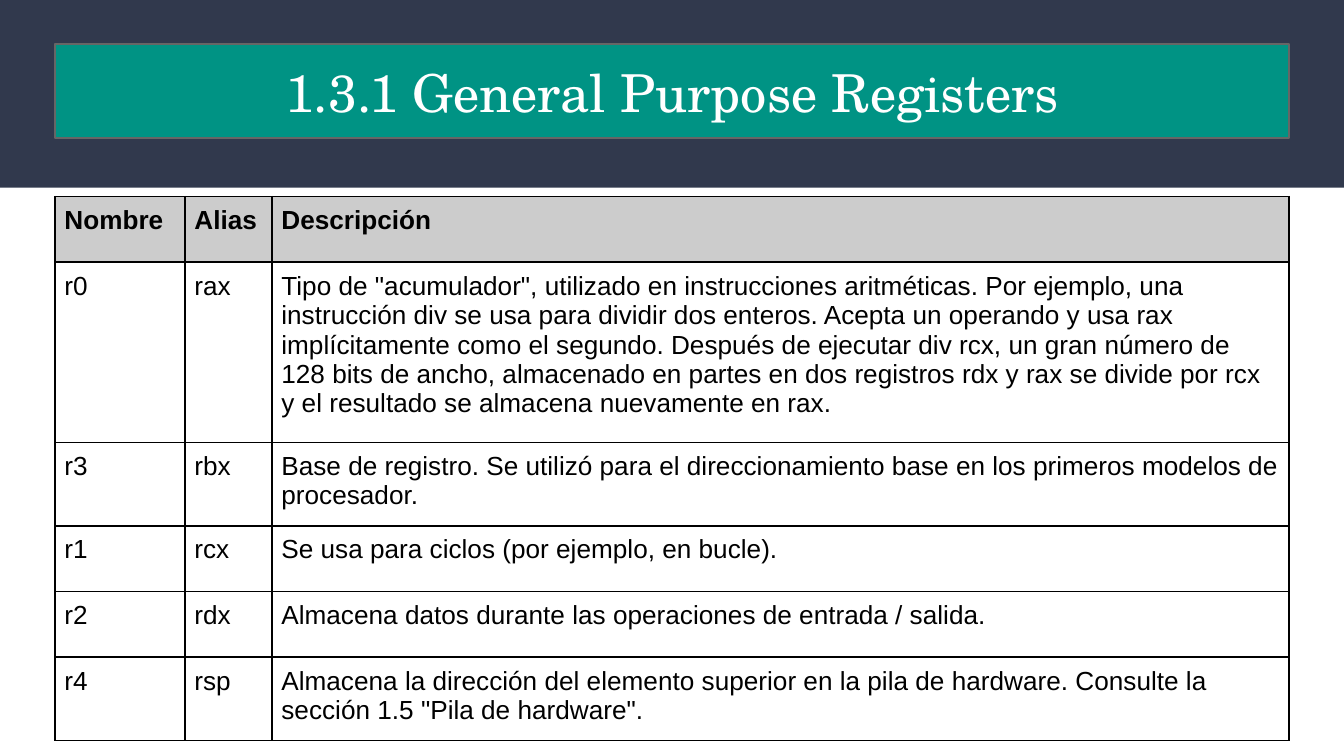
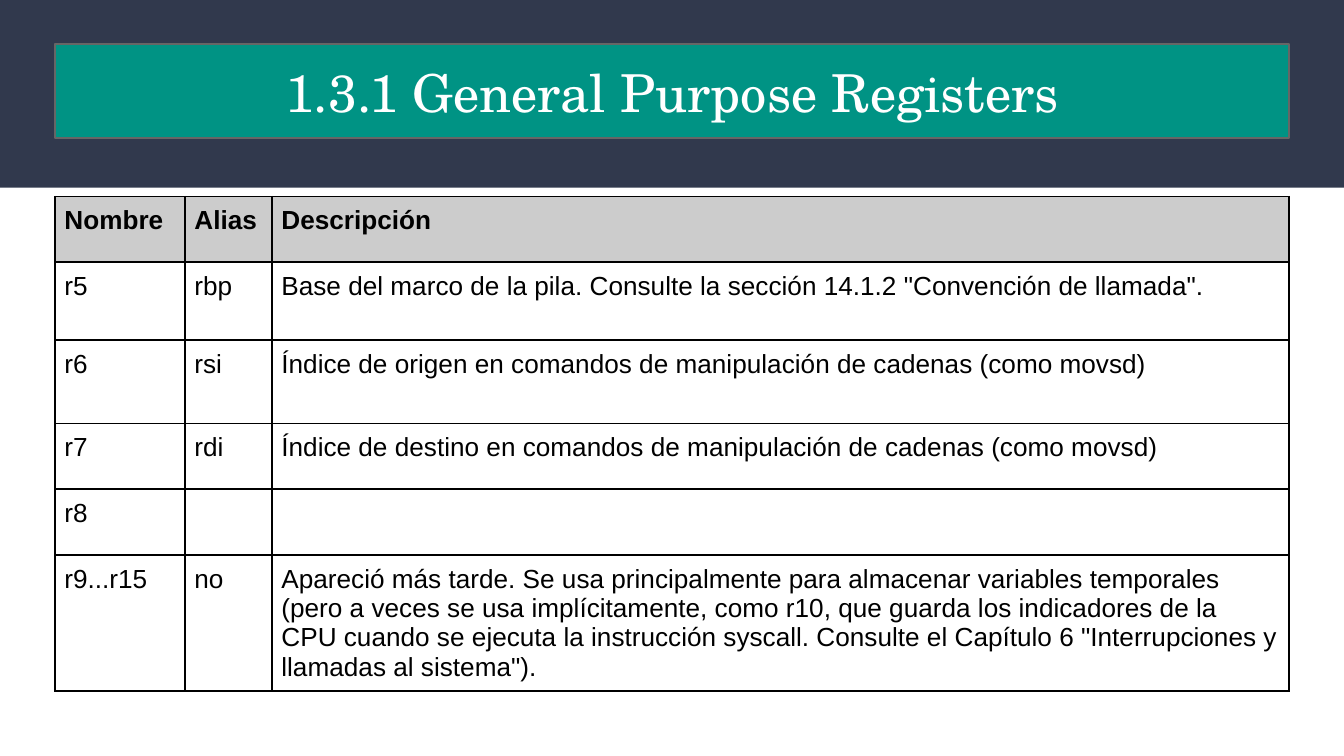
from lxml import etree
from pptx import Presentation
from pptx.dml.color import RGBColor
from pptx.enum.shapes import MSO_SHAPE
from pptx.enum.text import MSO_ANCHOR, MSO_AUTO_SIZE, PP_ALIGN
from pptx.oxml.ns import qn
from pptx.util import Pt

RECTANGLE = MSO_SHAPE.RECTANGLE
MIDDLE, TOP = MSO_ANCHOR.MIDDLE, MSO_ANCHOR.TOP
CENTER, LEFT = PP_ALIGN.CENTER, PP_ALIGN.LEFT
NO_AUTOFIT = MSO_AUTO_SIZE.NONE
TITLE_ONLY = 5

COLORS = {
    "band": "31394D",
    "pill": "009384",
    "pill_line": "666666",
    "title": "FFFFFF",
    "header": "CCCCCC",
    "text": "000000",
    "border": "000000",
}
TITLE_FONT, TABLE_FONT = "TeX Gyre Schola", "Arial"
PAGE_WIDTH, PAGE_HEIGHT = 720, 405
MARGIN = 29.5
COLUMN_WIDTHS = (69.7, 46.6, 544.7)
CONTENT_WIDTH = sum(COLUMN_WIDTHS)

TITLE = "1.3.1 General Purpose Registers"
HEADER = ("Nombre", "Alias", "Descripción")

# Each register table: row heights (header first), then its rows
REGISTER_TABLES = [
    ((35.2, 96.5, 44.7, 35.2, 35.2, 44.7), [
        ("r0", "rax",
         'Tipo de "acumulador", utilizado en instrucciones aritméticas. Por ejemplo, una '
         "instrucción div se usa para dividir dos enteros. Acepta un operando y usa rax "
         "implícitamente como el segundo. Después de ejecutar div rcx, un gran número de "
         "128 bits de ancho, almacenado en partes en dos registros rdx y rax se divide por "
         "rcx y el resultado se almacena nuevamente en rax."),
        ("r3", "rbx",
         "Base de registro. Se utilizó para el direccionamiento base en los primeros "
         "modelos de procesador."),
        ("r1", "rcx", "Se usa para ciclos (por ejemplo, en bucle)."),
        ("r2", "rdx", "Almacena datos durante las operaciones de entrada / salida."),
        ("r4", "rsp",
         "Almacena la dirección del elemento superior en la pila de hardware. Consulte la "
         'sección 1.5 "Pila de hardware".'),
    ]),
    ((35.2, 41.8, 44.7, 35.2, 35.2, 72.8), [
        ("r5", "rbp",
         'Base del marco de la pila. Consulte la sección 14.1.2 "Convención de llamada".'),
        ("r6", "rsi", "Índice de origen en comandos de manipulación de cadenas (como movsd)"),
        ("r7", "rdi", "Índice de destino en comandos de manipulación de cadenas (como movsd)"),
        ("r8", "", ""),
        ("r9...r15", "no",
         "Apareció más tarde. Se usa principalmente para almacenar variables temporales "
         "(pero a veces se usa implícitamente, como r10, que guarda los indicadores de la "
         "CPU cuando se ejecuta la instrucción syscall. Consulte el Capítulo 6 "
         '"Interrupciones y llamadas al sistema").'),
    ]),
]


def color(name):
    return RGBColor.from_string(COLORS[name])


class Deck:
    """Holds the presentation, its style and the current page."""

    def __init__(self):
        self.deck = Presentation()
        self.deck.slide_width = Pt(PAGE_WIDTH)
        self.deck.slide_height = Pt(PAGE_HEIGHT)
        self.page = None

    def add_page(self, title):
        self.page = self.deck.slides.add_slide(self.deck.slide_layouts[TITLE_ONLY])
        self.band()
        self.title(title)

    def band(self):
        band = self.page.shapes.add_shape(RECTANGLE, 0, 0, Pt(PAGE_WIDTH), Pt(100.6))
        band.shadow.inherit = False
        band.fill.solid()
        band.fill.fore_color.rgb = color("band")
        band.line.fill.background()
        # Send the band behind the title
        self.page.shapes._spTree.insert(2, band._element)

    def title(self, text):
        pill = self.page.shapes.title
        pill.left, pill.top = Pt(MARGIN), Pt(23.6)
        pill.width, pill.height = Pt(CONTENT_WIDTH), Pt(50.4)
        etree.SubElement(pill._element.spPr, qn("a:prstGeom"), prst="flowChartTerminator")
        pill.fill.solid()
        pill.fill.fore_color.rgb = color("pill")
        pill.line.color.rgb = color("pill_line")
        pill.line.width = Pt(0.75)
        frame = pill.text_frame
        frame.word_wrap = True
        frame.auto_size = NO_AUTOFIT
        frame.vertical_anchor = MIDDLE
        frame.margin_left = frame.margin_right = Pt(7.2)
        frame.margin_top = frame.margin_bottom = Pt(7.2)
        frame.text = text
        self.format(frame.paragraphs[0], TITLE_FONT, 28, "title", CENTER)

    def table(self, top, heights, rows):
        table = self.page.shapes.add_table(
            len(rows), len(COLUMN_WIDTHS), Pt(MARGIN), Pt(top),
            Pt(CONTENT_WIDTH), Pt(sum(heights))).table
        table.horz_banding = False
        for column, width in zip(table.columns, COLUMN_WIDTHS):
            column.width = Pt(width)
        for row, height in zip(table.rows, heights):
            row.height = Pt(height)
        for r, texts in enumerate(rows):
            for c, text in enumerate(texts):
                self.cell(table.cell(r, c), text, is_header=r == 0)

    def cell(self, cell, text, is_header):
        cell.margin_left = cell.margin_right = Pt(5)
        cell.margin_top = cell.margin_bottom = Pt(5)
        cell.vertical_anchor = TOP
        self.borders(cell)
        if is_header:
            cell.fill.solid()
            cell.fill.fore_color.rgb = color("header")
        else:
            cell.fill.background()
        cell.text = text
        self.format(cell.text_frame.paragraphs[0], TABLE_FONT, 14, "text", LEFT, is_header)

    def borders(self, cell):
        properties = cell._tc.get_or_add_tcPr()
        for side in ("a:lnL", "a:lnR", "a:lnT", "a:lnB"):
            line = etree.SubElement(properties, qn(side), w=str(Pt(1)))
            fill = etree.SubElement(line, qn("a:solidFill"))
            etree.SubElement(fill, qn("a:srgbClr"), val=COLORS["border"])

    def format(self, para, font, size, color_name, align, bold=False):
        para.alignment = align
        para.line_spacing = 1.0
        para.font.name = font
        para.font.size = Pt(size)
        para.font.bold = bold
        para.font.color.rgb = color(color_name)


def main():
    builder = Deck()
    for heights, rows in REGISTER_TABLES:
        builder.add_page(TITLE)
        builder.table(105.3, heights, [HEADER, *rows])
    builder.deck.save("out.pptx")


if __name__ == "__main__":
    main()
